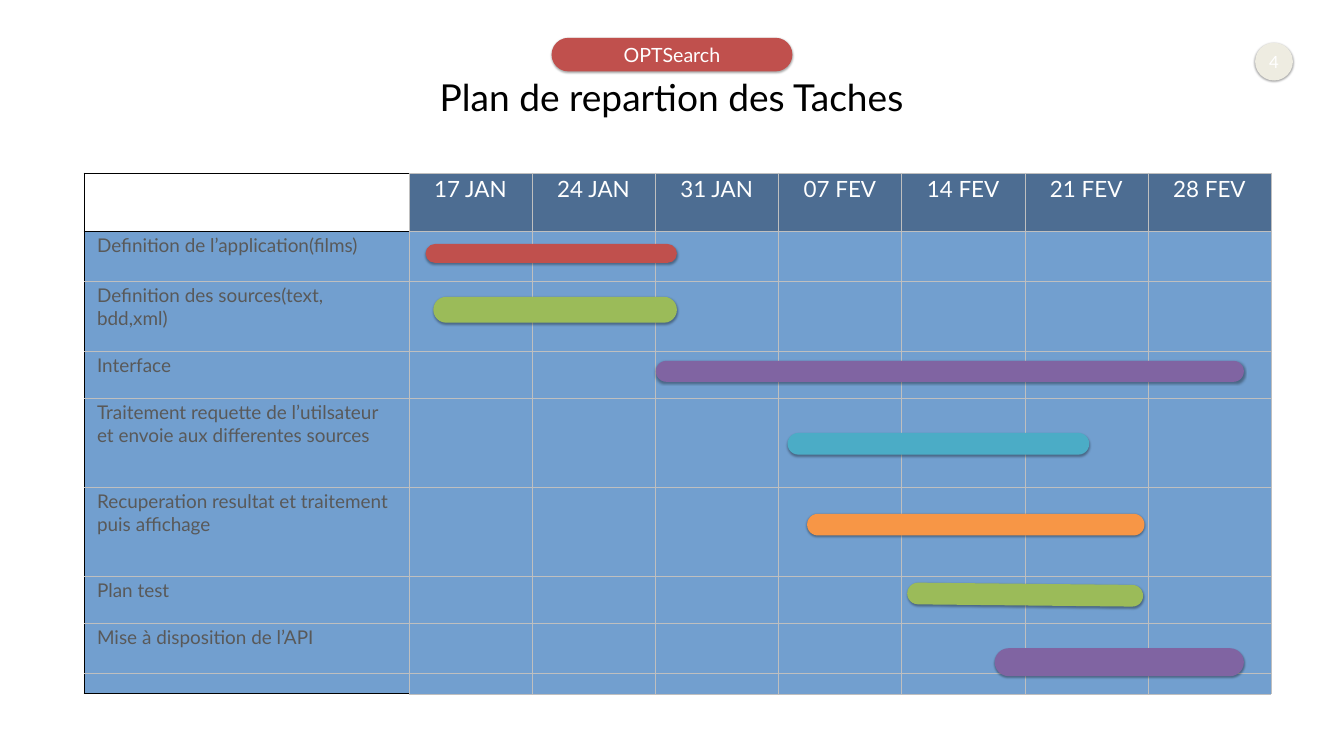
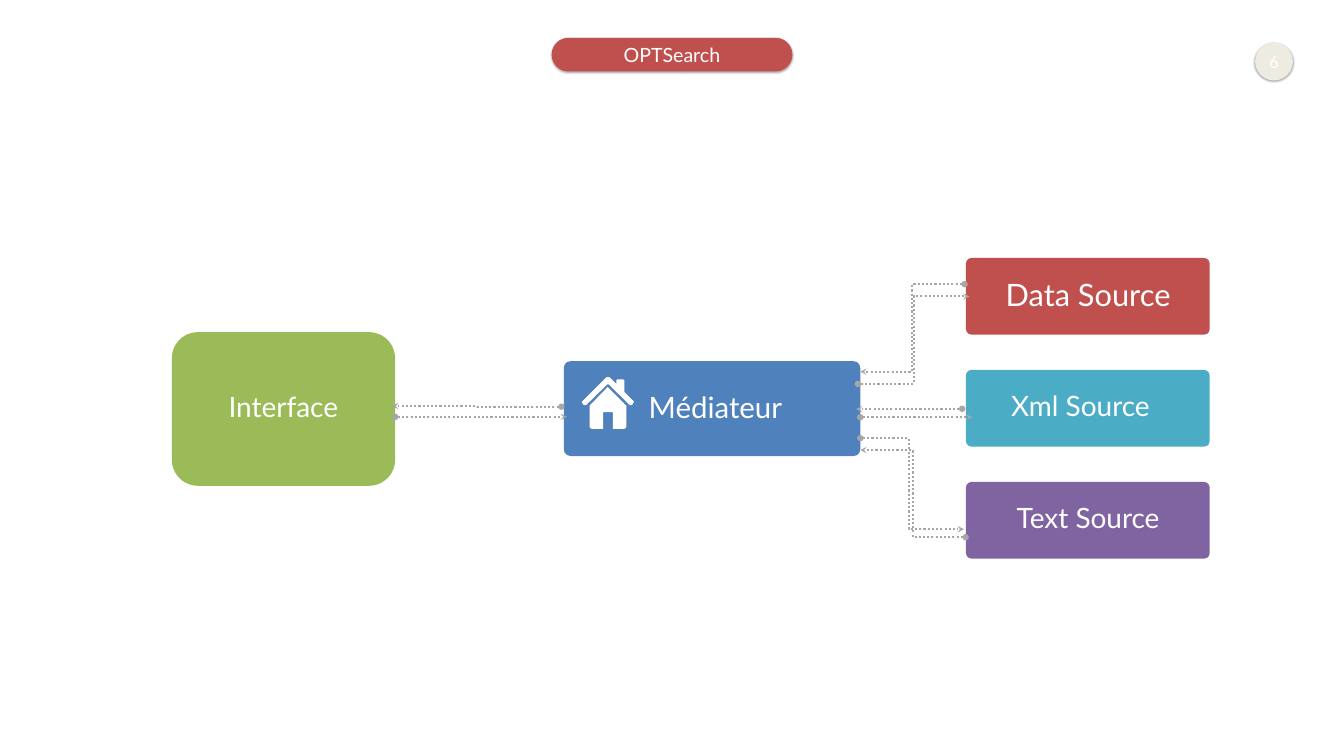
from itertools import accumulate

from lxml.etree import SubElement
from pptx import Presentation
from pptx.dml.color import RGBColor
from pptx.enum.dml import MSO_LINE
from pptx.enum.shapes import MSO_CONNECTOR, MSO_SHAPE as SHAPE
from pptx.enum.text import MSO_ANCHOR as ANCHOR, PP_ALIGN as ALIGN
from pptx.oxml.ns import qn
from pptx.util import Pt

RED, GREEN, PURPLE, TEAL = "C0504D", "9BBB59", "8064A2", "4BACC6"
ORANGE, BLUE, BADGE = "F79646", "4F81BD", "EEECE1"
HEADER, CELL, LABEL = "4D6D92", "729FCF", "595959"
GRID, ARROW, WHITE, BLACK = "BFBFBF", "A6A6A6", "FFFFFF", "000000"
FONT = "Lato"

DATES = ["17 JAN", "24 JAN", "31 JAN", "07 FEV", "14 FEV", "21 FEV", "28 FEV"]
TASKS = [
    ("Definition de l’application(films)", 72),
    ("Definition des sources(text, bdd,xml)", 100),
    ("Interface", 67),
    ("Traitement requette de l’utilsateur et envoie aux differentes sources", 127),
    ("Recuperation resultat et traitement puis affichage", 127),
    ("Plan test", 67),
    ("Mise à disposition de l’API", 72),
    ("", 29),
]
TASK_BARS = [
    (608, 348.5, 359, 27, RED, 0),
    (619, 424, 348, 37, GREEN, 0),
    (937, 515.5, 840, 30, PURPLE, 0),
    (1125, 618.5, 431, 31, TEAL, 0),
    (1153, 734, 482, 31, ORANGE, 0),
    (1296, 834, 337, 31, GREEN, 0.6),
    (1421, 926, 356, 40, PURPLE, 0),
]
SOURCES = [
    ("Data Source", RED, 44, (1405, 387, 299, 67)),
    ("Xml Source", TEAL, 40, (1405, 548, 277, 63)),
    ("Text Source", PURPLE, 40, (1425, 708, 259, 63)),
]
FLOWS = [
    (1378, 406, 1229, 531, 0.5),
    (1379.5, 767.5, 1229, 643, 0.5),
    (1374.5, 584, 1223, 584.5, 0.5),
    (1225.5, 548.5, 1385, 423.5, 0.5),
    (1229, 596, 1389, 596, 0.5),
    (1229, 626, 1377, 756, 0.466),
    (802, 581, 560, 580, 0.5),
    (564.5, 595.5, 810, 595.5, 0.5),
]
ROOF = [(102, 48), (103, 49), (102, 51), (100, 55), (98, 56), (95, 56), (94, 55),
        (53, 15), (50, 15), (9, 55), (8, 56), (4, 56), (3, 55), (0, 51), (0, 49),
        (1, 48), (48, 1), (51, 0), (55, 1), (68, 14), (68, 7), (70, 5), (82, 5),
        (84, 7), (84, 30)]
WALLS = [(88, 57), (88, 98), (87, 101), (84, 103), (61, 103), (61, 70), (42, 70),
         (42, 103), (19, 103), (16, 101), (15, 98), (15, 57), (51, 20)]


def rgb(value):
    return RGBColor.from_string(value)


def sub(parent, tag, **attrs):
    return SubElement(parent, qn(f"a:{tag}"), {k: str(v) for k, v in attrs.items()})


def set_all(target, values):
    for name, value in values.items():
        setattr(target, name, value)


class Deck:
    def __init__(self):
        self.prs = Presentation()
        set_all(self.prs, {"slide_width": Pt(1920), "slide_height": Pt(1080)})
        self.shapes = None

    def slide(self, number):
        self.shapes = self.prs.slides.add_slide(self.prs.slide_layouts[6]).shapes
        s = self.shape(SHAPE.OVAL, 1793, 61, 54, 54, BADGE, shadow=True)
        self.text(s.text_frame, str(number), 24, WHITE)

    def banner(self):
        s = self.shape(SHAPE.ROUNDED_RECTANGLE, 788, 54, 344, 48, RED, 0.5, True)
        self.text(s.text_frame, "OPTSearch", 28, WHITE)

    def text(self, tf, words, size, color, align=ALIGN.CENTER, wrap=False):
        set_all(tf, {"word_wrap": wrap, "vertical_anchor": ANCHOR.MIDDLE,
                     "margin_left": 0, "margin_right": 0,
                     "margin_top": 0, "margin_bottom": 0})
        self.run(tf.paragraphs[0], words, size, color, align)

    def run(self, p, words, size, color, align):
        p.alignment = align
        r = p.add_run()
        r.text = words
        set_all(r.font, {"name": FONT, "size": Pt(size)})
        r.font.color.rgb = rgb(color)

    def shape(self, kind, x, y, w, h, fill, corner=None, shadow=False):
        s = self.shapes.add_shape(kind, Pt(x), Pt(y), Pt(w), Pt(h))
        if corner is not None:
            s.adjustments[0] = corner
        self.paint(s, fill)
        if shadow:
            outer = sub(s._element.spPr.find(qn("a:effectLst")), "outerShdw",
                        blurRad=Pt(3.1), dist=Pt(1.8), dir=5400000, rotWithShape=0)
            sub(sub(outer, "srgbClr", val=BLACK), "alpha", val=35000)
        return s

    def paint(self, s, fill):
        s.fill.solid()
        s.fill.fore_color.rgb = rgb(fill)
        s.line.fill.background()
        s.shadow.inherit = False

    def label(self, words, size, color, x, y, w, h):
        s = self.shapes.add_textbox(Pt(x), Pt(y), Pt(w), Pt(h))
        self.text(s.text_frame, words, size, color)
        return s

    def bar(self, x, y, w, h, color, rotation):
        s = self.shape(SHAPE.ROUNDED_RECTANGLE, x, y, w, h, color, 0.5, True)
        s.rotation = rotation

    def flow(self, x1, y1, x2, y2, bend):
        c = self.shapes.add_connector(MSO_CONNECTOR.ELBOW, Pt(x1), Pt(y1), Pt(x2), Pt(y2))
        set_all(c.line, {"width": Pt(3), "dash_style": MSO_LINE.ROUND_DOT})
        c.line.color.rgb = rgb(ARROW)
        pr = c._element.spPr
        ln = pr.find(qn("a:ln"))
        sub(ln, "headEnd", type="oval")
        sub(ln, "tailEnd", type="stealth")
        sub(pr, "effectLst")
        if bend != 0.5:
            guides = pr.find(qn("a:prstGeom")).find(qn("a:avLst"))
            sub(guides, "gd", name="adj1", fmla=f"val {round(bend * 100000)}")

    def house(self, x, y):
        fb = self.shapes.build_freeform(*ROOF[0], scale=Pt(0.72))
        fb.add_line_segments(ROOF[1:], close=True)
        fb.move_to(*WALLS[0])
        fb.add_line_segments(WALLS[1:], close=True)
        self.paint(fb.convert_to_shape(Pt(x), Pt(y)), WHITE)

    def cell(self, cell, words, size, color, align, fill, black_sides):
        set_all(cell, {"margin_left": Pt(18.7), "margin_right": Pt(18.7),
                       "margin_top": Pt(3.6), "margin_bottom": Pt(3.6)})
        pr = cell._tc.get_or_add_tcPr()
        for side in "LRTB":
            dark = side in black_sides
            ln = sub(pr, f"ln{side}", w=Pt(0.96 if dark else 0.5))
            sub(sub(ln, "solidFill"), "srgbClr", val=BLACK if dark else GRID)
        if fill:
            cell.fill.solid()
            cell.fill.fore_color.rgb = rgb(fill)
        else:
            cell.fill.background()
        if words:
            self.run(cell.text_frame.paragraphs[0], words, size, color, align)

    def schedule(self, x, y):
        widths = [464] + [176] * len(DATES)
        heights = [83] + [h for _, h in TASKS]
        frame = self.shapes.add_table(len(heights), len(widths), Pt(x), Pt(y),
                                      Pt(sum(widths)), Pt(sum(heights)))
        table = frame.table
        set_all(table, {"first_row": False, "horz_banding": False})
        for col, w in zip(table.columns, widths):
            col.width = Pt(w)
        for row, h in zip(table.rows, heights):
            row.height = Pt(h)
        self.cell(table.cell(0, 0), "", 32, WHITE, ALIGN.LEFT, None, "LTB")
        for j, date in enumerate(DATES, 1):
            self.cell(table.cell(0, j), date, 32, WHITE, ALIGN.CENTER, HEADER, "")
        for i, (task, _) in enumerate(TASKS, 1):
            sides = {1: "LT", len(TASKS): "LB"}.get(i, "L")
            self.cell(table.cell(i, 0), task, 27, LABEL, ALIGN.LEFT, CELL, sides)
            for j in range(1, len(widths)):
                self.cell(table.cell(i, j), "", 27, LABEL, ALIGN.LEFT, CELL, "")


def planning(deck):
    deck.slide(4)
    deck.schedule(120, 247)
    for bar in TASK_BARS:
        deck.bar(*bar)
    deck.label("Plan de repartion des Taches", 53, BLACK, 299, 104, 1321, 67)
    deck.banner()


def architecture(deck):
    deck.slide(6)
    box = SHAPE.ROUNDED_RECTANGLE
    tops = accumulate([160] * (len(SOURCES) - 1), initial=368.5)
    for top, (name, color, size, place) in zip(tops, SOURCES):
        deck.shape(box, 1380, top, 348, 109.5, color, 0.07)
        deck.label(name, size, WHITE, *place)
    deck.shape(box, 805.5, 516, 423.5, 135.5, BLUE, 0.07)
    deck.label("Médiateur", 42, WHITE, 901.5, 548.5, 241, 65)
    deck.house(831.5, 538.5)
    deck.banner()
    deck.shape(box, 245.5, 474.5, 319, 219.5, GREEN, 0.17)
    s = deck.label("Interface", 40, WHITE, 256, 485, 297.5, 198)
    s.text_frame.paragraphs[0].line_spacing = 0.9
    for flow in FLOWS:
        deck.flow(*flow)


def main():
    deck = Deck()
    planning(deck)
    architecture(deck)
    deck.prs.save("out.pptx")


if __name__ == "__main__":
    main()
